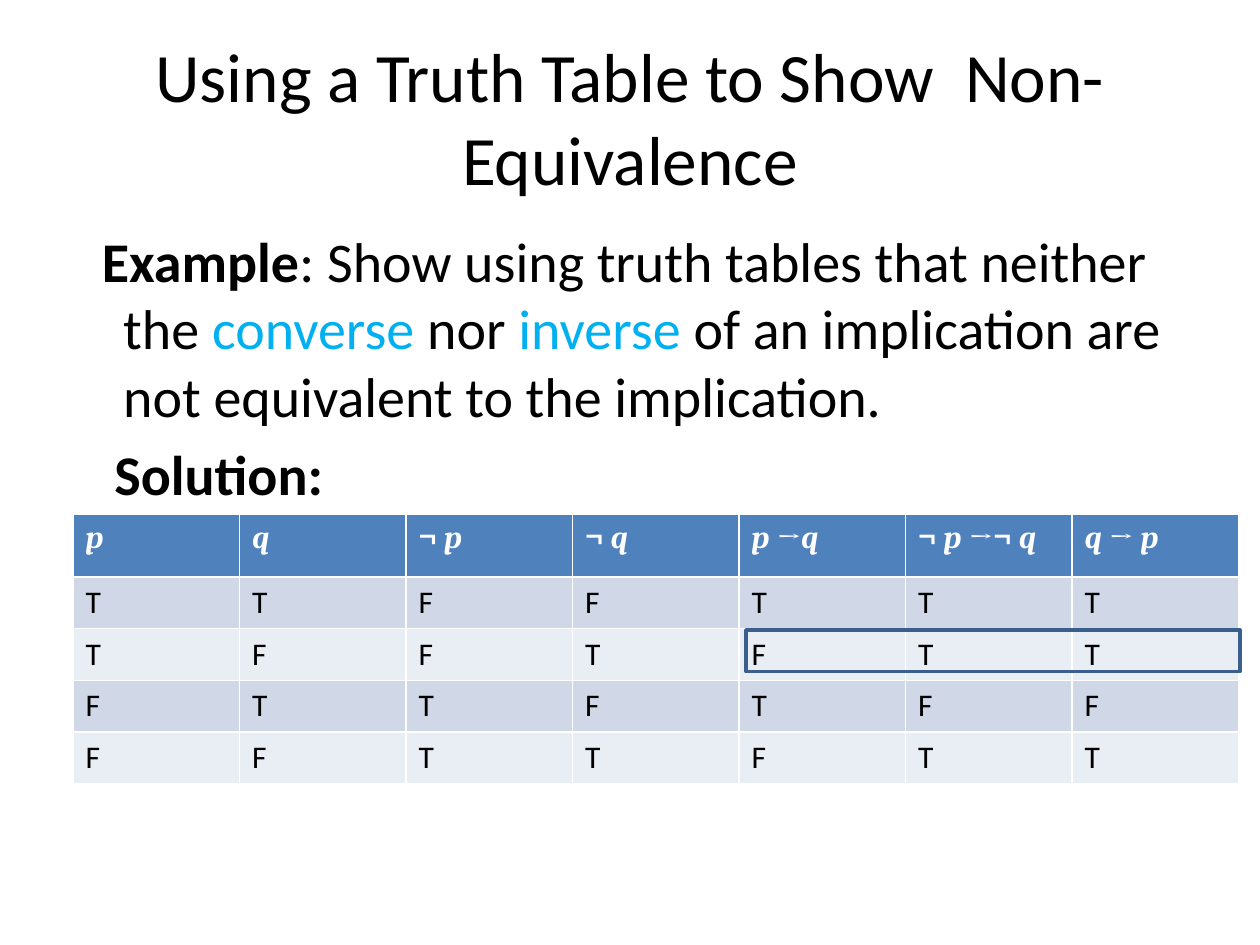
from typing import NamedTuple

from pptx import Presentation
from pptx.dml.color import RGBColor
from pptx.enum.shapes import MSO_SHAPE
from pptx.enum.text import MSO_ANCHOR, MSO_AUTO_SIZE, PP_ALIGN
from pptx.util import Inches, Pt

RECTANGLE = MSO_SHAPE.RECTANGLE
MIDDLE = MSO_ANCHOR.MIDDLE
NO_AUTOFIT = MSO_AUTO_SIZE.NONE
CENTER = PP_ALIGN.CENTER

BLACK, WHITE, TERM_BLUE = "000000", "FFFFFF", "00B0F0"
HEADER_FILL, ROW_FILLS = "4F81BD", ("D0D8E8", "E9EDF4")
HIGHLIGHT_LINE = "3A5F8C"


class Span(NamedTuple):
    text: str
    size: float = 18
    color: str = BLACK
    font: str = "Calibri"
    bold: bool = False
    italic: bool = False


def rgb(color: str) -> RGBColor:
    return RGBColor.from_string(color)


def add_spans(paragraph, spans: list[Span]) -> None:
    for span in spans:
        run = paragraph.add_run()
        run.text = span.text
        font = run.font
        font.name, font.size = span.font, Pt(span.size)
        font.bold, font.italic = span.bold, span.italic
        font.color.rgb = rgb(span.color)


def fill_cell(cell, fill: str, spans: list[Span]) -> None:
    cell.fill.solid()
    cell.fill.fore_color.rgb = rgb(fill)
    add_spans(cell.text_frame.paragraphs[0], spans)


def formula(*parts: str) -> list[Span]:
    """Variables are italic; logical operators are upright."""
    return [Span(part, 18, WHITE, "Cambria", True, part.strip() in ("p", "q"))
            for part in parts]


presentation = Presentation()
presentation.slide_width, presentation.slide_height = Inches(10), Inches(7.5)
slide = presentation.slides.add_slide(presentation.slide_layouts[5])

# Title
title = slide.shapes.title
title.left, title.top = Inches(0.5), Inches(0.3)
title.width, title.height = Inches(9), Inches(1.25)
title.text_frame.auto_size = NO_AUTOFIT
title.text_frame.vertical_anchor = MIDDLE
heading = title.text_frame.paragraphs[0]
heading.alignment = CENTER
add_spans(heading, [Span("Using a Truth Table to Show  Non-Equivalence", 39.6)])

# Example statement and solution label, each with its hanging indent
STATEMENTS = [
    (-0.17, [
        Span("Example", 32, bold=True),
        Span(": Show using truth tables that neither the ", 32),
        Span("converse", 32, TERM_BLUE),
        Span(" nor ", 32),
        Span("inverse", 32, TERM_BLUE),
        Span(" of an implication are not equivalent to the implication.", 32),
    ]),
    (-0.07, [Span("Solution:", 32, bold=True)]),
]
statement_box = slide.shapes.add_textbox(
    Inches(0.5), Inches(1.75), Inches(9), Inches(4.95))
statement_frame = statement_box.text_frame
statement_frame.word_wrap = True
for index, (indent, spans) in enumerate(STATEMENTS):
    statement = (statement_frame.add_paragraph() if index
                 else statement_frame.paragraphs[0])
    statement.space_before = Pt(6.4)
    properties = statement._p.get_or_add_pPr()
    properties.set("marL", str(Inches(0.38)))
    properties.set("indent", str(Inches(indent)))
    add_spans(statement, spans)

# Truth table
HEADERS = [
    formula("p"),
    formula("q"),
    formula("¬ ", "p"),
    formula("¬ ", "q"),
    formula("p ", "→", "q"),
    formula("¬ ", "p ", "→¬ ", "q"),
    formula("q ", "→ ", "p"),
]
TRUTH_ROWS = ["TTFFTTT", "TFFTFTT", "FTTFTFF", "FFTTFTT"]
HEADER_HEIGHT, ROW_HEIGHT = 0.5, 0.41

truth_table = slide.shapes.add_table(
    len(TRUTH_ROWS) + 1, len(HEADERS), Inches(0.58), Inches(4.08), Inches(9.25),
    Inches(HEADER_HEIGHT + ROW_HEIGHT * len(TRUTH_ROWS))).table
truth_table.rows[0].height = Inches(HEADER_HEIGHT)
for column, spans in enumerate(HEADERS):
    fill_cell(truth_table.cell(0, column), HEADER_FILL, spans)
for row, values in enumerate(TRUTH_ROWS, start=1):
    truth_table.rows[row].height = Inches(ROW_HEIGHT)
    for column, value in enumerate(values):
        fill_cell(truth_table.cell(row, column), ROW_FILLS[(row - 1) % 2],
                  [Span(value)])

# Frame around the values that differ
highlight = slide.shapes.add_shape(
    RECTANGLE, Inches(5.92), Inches(5), Inches(3.92), Inches(0.33))
highlight.shadow.inherit = False
highlight.fill.background()
highlight.line.color.rgb = rgb(HIGHLIGHT_LINE)
highlight.line.width = Pt(2)

presentation.save("out.pptx")
